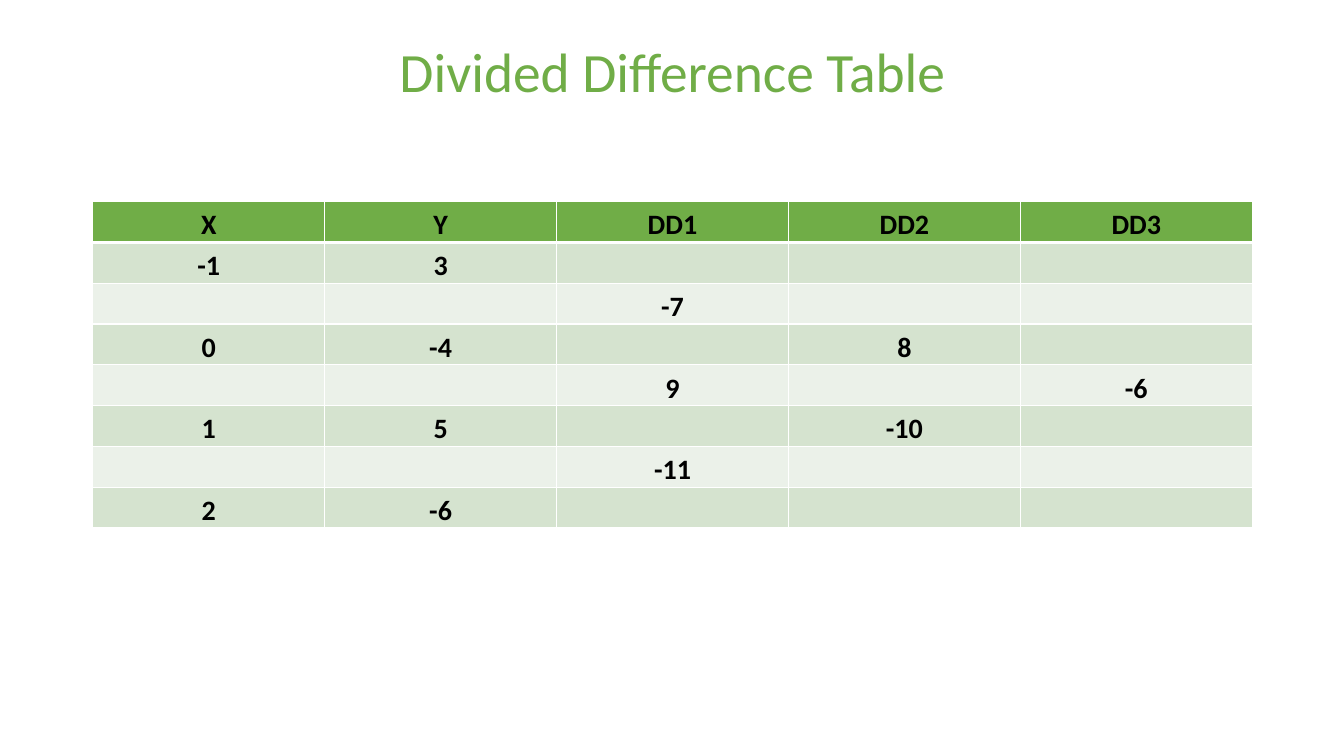
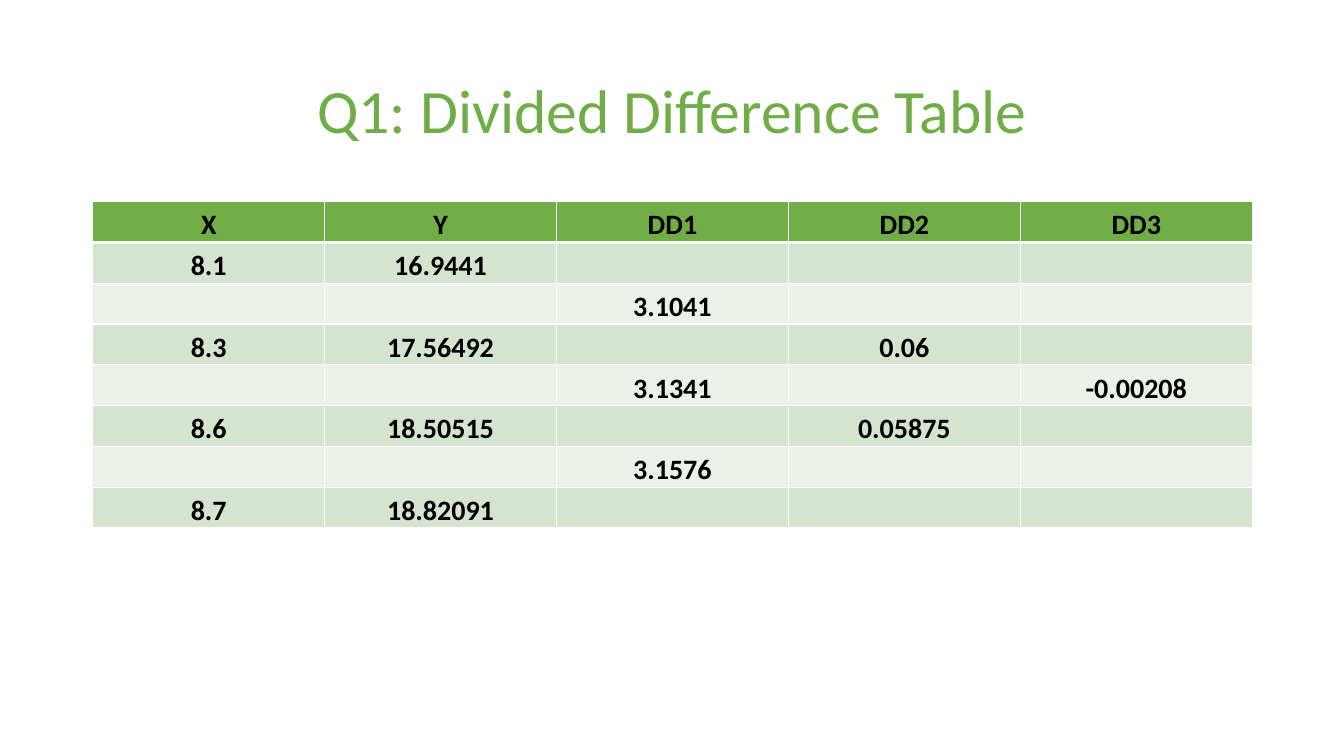
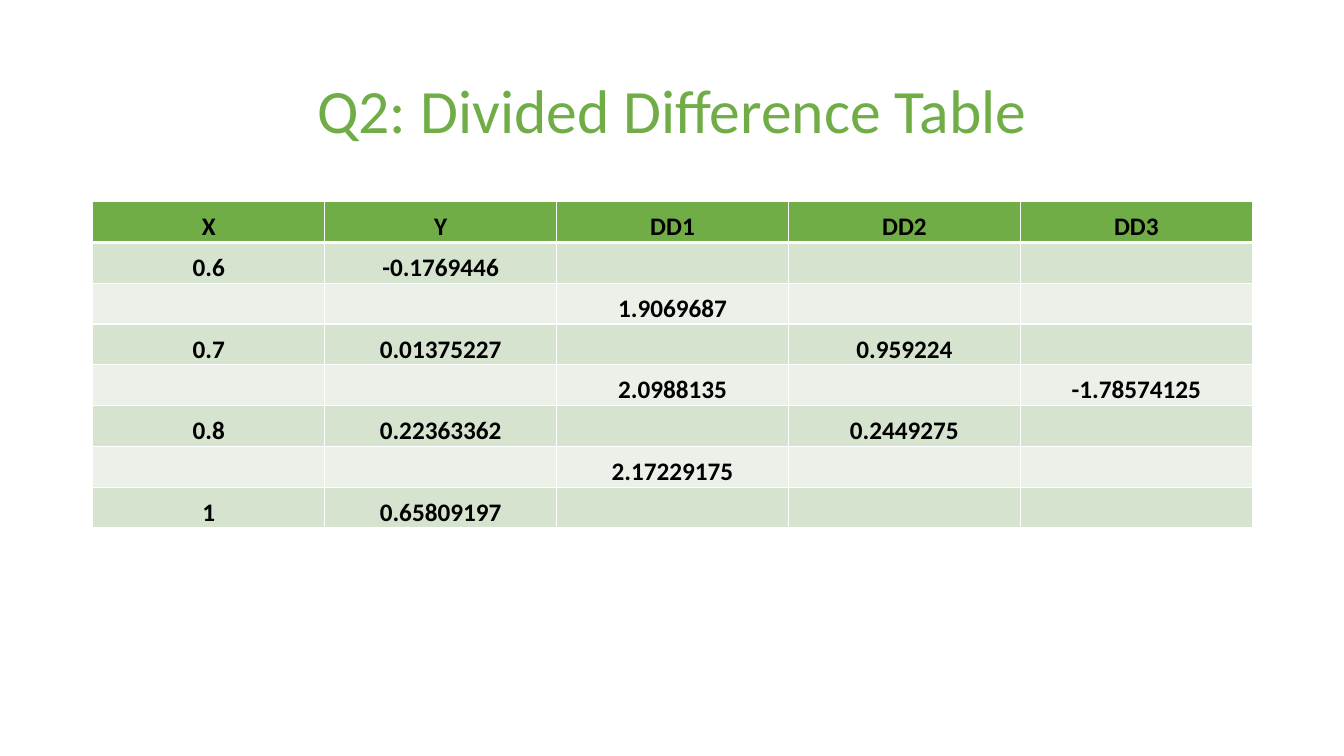
import pptx
import pptx.util
import pptx.dml.color
import pptx.enum.text
import pptx.oxml
import pptx.oxml.ns
import lxml.etree

Inches = pptx.util.Inches
Pt = pptx.util.Pt
ANCHOR = pptx.enum.text.MSO_ANCHOR

# Shared look
COLORS = {"green": "70AD47", "dark": "D5E3CF", "light": "EBF1E9",
          "text": "000000", "line": "FFFFFF"}
FONT = "Calibri"
LEFT, WIDTH = Inches(0.92), Inches(11.5)
HEADS = ["X", "Y", "DD1", "DD2", "DD3"]
ORDERS = [0, 0, 1, 2, 3]
ROWS = 8

# Title, its top, height and size, the table's text size, and its columns
SLIDES = [
    ("Divided Difference Table", 0.47, 0.54, 39.6, 20,
     [["-1", "0", "1", "2"], ["3", "-4", "5", "-6"],
      ["-7", "9", "-11"], ["8", "-10"], ["-6"]]),
    ("Q1: Divided Difference Table", 0.4, 1.45, 44, 20,
     [["8.1", "8.3", "8.6", "8.7"],
      ["16.9441", "17.56492", "18.50515", "18.82091"],
      ["3.1041", "3.1341", "3.1576"], ["0.06", "0.05875"], ["-0.00208"]]),
    ("Q2: Divided Difference Table", 0.4, 1.45, 44, 18,
     [["0.6", "0.7", "0.8", "1"],
      ["-0.1769446", "0.01375227", "0.22363362", "0.65809197"],
      ["1.9069687", "2.0988135", "2.17229175"],
      ["0.959224", "0.2449275"], ["-1.78574125"]]),
]


def write(frame, text, size, color="text", bold=False, space=1.0):
    para = frame.paragraphs[0]
    para.alignment = pptx.enum.text.PP_ALIGN.CENTER
    para.line_spacing = space
    run = para.add_run()
    run.text = text
    run.font.name = FONT
    run.font.size = Pt(size)
    run.font.bold = bold
    run.font.color.rgb = pptx.dml.color.RGBColor.from_string(COLORS[color])


def style(cell, fill, top, bottom):
    cell.vertical_anchor = ANCHOR.BOTTOM
    cell.margin_left = cell.margin_top = cell.margin_right = Inches(0.01)
    cell.margin_bottom = 0
    # Borders come before the fill in the cell's properties
    props = cell._tc.get_or_add_tcPr()
    qn = pptx.oxml.ns.qn
    for side, width in (("L", 1), ("R", 1), ("T", top), ("B", bottom)):
        line = lxml.etree.SubElement(props, qn(f"a:ln{side}"), w=str(Pt(width)))
        solid = lxml.etree.SubElement(line, qn("a:solidFill"))
        lxml.etree.SubElement(solid, qn("a:srgbClr"), val=COLORS["line"])
    cell.fill.solid()
    cell.fill.fore_color.rgb = pptx.dml.color.RGBColor.from_string(COLORS[fill])


deck = pptx.Presentation()
deck.slide_width, deck.slide_height = Inches(13.33), Inches(7.5)

for name, top, height, size, small, columns in SLIDES:
    slide = deck.slides.add_slide(deck.slide_layouts[5])

    # Title
    title = slide.shapes.title
    title.left, title.top = LEFT, Inches(top)
    title.width, title.height = WIDTH, Inches(height)
    frame = title.text_frame
    frame.word_wrap = True
    frame.auto_size = pptx.enum.text.MSO_AUTO_SIZE.NONE
    frame.vertical_anchor = ANCHOR.MIDDLE
    write(frame, name, size, color="green", space=0.9)

    # Table with a heavier line under its head
    table = slide.shapes.add_table(ROWS, len(HEADS), LEFT, Inches(2),
                                   WIDTH, Inches(3.24)).table
    for row in range(ROWS):
        fill = "green" if row == 0 else "dark" if row % 2 else "light"
        for col in range(len(HEADS)):
            style(table.cell(row, col), fill,
                  top=3 if row == 1 else 1, bottom=3 if row == 0 else 1)

    # Each difference sits between the two values it comes from
    for col, (head, order, values) in enumerate(zip(HEADS, ORDERS, columns)):
        write(table.cell(0, col).text_frame, head, small, bold=True)
        for step, value in enumerate(values):
            cell = table.cell(1 + order + 2 * step, col)
            write(cell.text_frame, value, small, bold=True)

deck.save("out.pptx")
